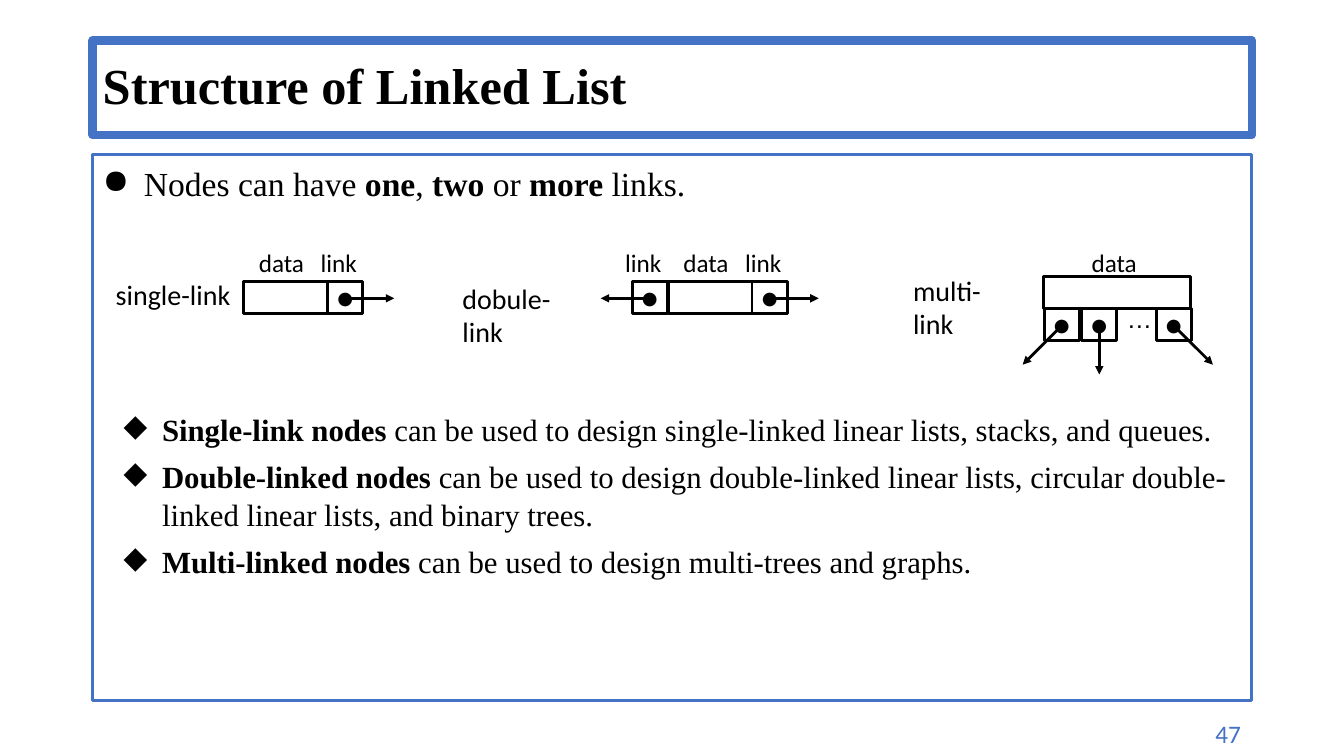
from dataclasses import dataclass

import pptx
import pptx.dml.color
import pptx.enum.shapes
import pptx.enum.text
import pptx.oxml
import pptx.oxml.ns
import pptx.util

Pt = pptx.util.Pt
RGB = pptx.dml.color.RGBColor
Shape = pptx.enum.shapes.MSO_SHAPE
Align = pptx.enum.text.PP_ALIGN
Anchor = pptx.enum.text.MSO_ANCHOR


@dataclass(frozen=True)
class Theme:
    ink: RGB = RGB(0, 0, 0)
    accent: RGB = RGB(0x44, 0x72, 0xC4)
    serif: str = "Times New Roman"
    sans: str = "Calibri"
    dot_font: str = "Lato"
    dots_font: str = "Arial"
    title: int = 36
    body: int = 24
    sub: int = 22
    name: int = 20
    label: int = 18
    stroke: int = 2


T = Theme()
CELL_W, CELL_H, DATA_W = 25.2, 23, 59.8
ROW_Y, LABEL_Y = 200.9, 172.8
REACH, DIAGONAL = 35, 28


def add_xml(parent, tag, **attrs):
    el = pptx.oxml.parse_xml(f"<{tag} {pptx.oxml.ns.nsdecls('a')}/>")
    for key, value in attrs.items():
        el.set(key, value)
    parent.append(el)


def style(font, face, size, color=T.ink, bold=False):
    font.name, font.size, font.bold = face, Pt(size), bold
    font.color.rgb = color


def outline(sp, color, width):
    sp.line.color.rgb = color
    sp.line.width = Pt(width)


def add_box(s, x, y, w, h, color=T.ink, width=T.stroke):
    sp = s.shapes.add_shape(Shape.RECTANGLE, Pt(x), Pt(y), Pt(w), Pt(h))
    sp.shadow.inherit = False
    sp.fill.background()
    outline(sp, color, width)
    return sp


def add_text(s, text, x, y, w, h, size, face=T.sans, color=T.ink, align=Align.LEFT):
    tf = s.shapes.add_textbox(Pt(x), Pt(y), Pt(w), Pt(h)).text_frame
    tf.word_wrap = False
    p = tf.paragraphs[0]
    p.text, p.alignment = text, align
    style(p.runs[0].font, face, size, color)


def add_label(s, text, x, w):
    add_text(s, text, x, LABEL_Y, w, 28.8, T.label)


def add_arrow(s, x, y, dx, dy):
    cn = s.shapes.add_connector(
        pptx.enum.shapes.MSO_CONNECTOR.STRAIGHT, Pt(x), Pt(y), Pt(x + dx), Pt(y + dy))
    outline(cn, T.ink, T.stroke)
    add_xml(cn.line._get_or_add_ln(), "a:tailEnd", type="triangle")
    add_xml(cn._element.spPr, "a:effectLst")


def add_link_cell(s, x, y, dx, dy):
    """Draw a cell with a dot and an arrow that leaves the dot by (dx, dy)."""
    sp = add_box(s, x, y, CELL_W, CELL_H)
    tf = sp.text_frame
    tf.word_wrap, tf.vertical_anchor = False, Anchor.MIDDLE
    p = tf.paragraphs[0]
    p.text, p.alignment = "●", Align.CENTER
    style(p.runs[0].font, T.dot_font, T.name)
    add_arrow(s, x + CELL_W / 2, y + 12.2, dx, dy)


def add_row_node(s, x, left_link=False):
    """Draw a data cell at x with a link on the right and, if asked, on the left."""
    add_box(s, x, ROW_Y, DATA_W, CELL_H)
    add_label(s, "data", x + 3.6, 46.8)
    links = [(x + DATA_W, REACH)]
    if left_link:
        links.append((x - CELL_W - 0.7, -REACH))
    for link_x, dx in links:
        add_link_cell(s, link_x, ROW_Y, dx, 0)
        add_label(s, "link", link_x - 12, 40.3)


def add_multi_node(s, x, y):
    add_box(s, x, y, 105.1, CELL_H)
    add_label(s, "data", x + 27.4, 46.8)
    links_y = y + CELL_H
    for offset, dx, dy in [(0.7, -DIAGONAL, DIAGONAL), (27.4, 0, REACH),
                           (80.6, DIAGONAL, DIAGONAL)]:
        add_link_cell(s, x + offset, links_y, dx, dy)
    add_text(s, "…", x + 52.6, 213.1, 32.4, 28.8, T.label, T.dots_font)


def add_bullet(p, mark, runs, size, margin, indent, before):
    """Fill a bulleted paragraph; runs are (text, bold) pairs."""
    pPr = p._p.get_or_add_pPr()
    pPr.set("marL", str(Pt(margin)))
    pPr.set("indent", str(Pt(-indent)))
    p.line_spacing = 1.04
    p.space_before = Pt(before)
    add_xml(pPr, "a:buChar", char=mark)
    p.alignment = Align.LEFT
    for text, bold in runs:
        r = p.add_run()
        r.text = text
        style(r.font, T.serif, size, bold=bold)


def add_title(s, text):
    sp = s.shapes.title
    sp.left, sp.top, sp.width, sp.height = Pt(66.2), Pt(28.8), Pt(828), Pt(67.7)
    outline(sp, T.accent, 6)
    tf = sp.text_frame
    tf.text, tf.vertical_anchor = text, Anchor.MIDDLE
    p = tf.paragraphs[0]
    p.alignment, p.line_spacing = Align.LEFT, 0.9
    style(p.runs[0].font, T.serif, T.title, bold=True)


def add_body(s):
    sp = add_box(s, 66.2, 110.2, 828, 390.2, T.accent, 2.25)
    tf = sp.text_frame
    tf.word_wrap, tf.vertical_anchor = True, Anchor.TOP
    tf.margin_top = Pt(5)
    add_bullet(tf.paragraphs[0], "●",
               [("Nodes can have ", False), ("one", True), (", ", False), ("two ", True),
                ("or ", False), ("more ", True), ("links.", False)],
               T.body, 29.5, 29.5, 0)
    uses = [
        ("Single-link nodes",
         " can be used to design single-linked linear lists, stacks, and queues."),
        ("Double-linked nodes",
         " can be used to design double-linked linear lists, circular double-linked"
         " linear lists, and binary trees."),
        ("Multi-linked nodes", " can be used to design multi-trees and graphs."),
    ]
    for i, (node, use) in enumerate(uses):
        add_bullet(tf.add_paragraph(), "◆", [(node, True), (use, False)],
                   T.sub, 42.5, 27.4, 6 if i else 147)


def main():
    prs = pptx.Presentation()
    prs.slide_width, prs.slide_height = Pt(960), Pt(540)
    s = prs.slides.add_slide(prs.slide_layouts.get_by_name("Title Only"))
    add_title(s, "Structure of Linked List")
    add_body(s)
    for name, x, y, w in [("single-link", 75.6, 194.4, 96.5),
                          ("dobule-link", 323.3, 197.3, 105.8),
                          ("multi-link", 645.1, 191.5, 91.4)]:
        add_text(s, name, x, y, w, 31.7, T.name)
    add_row_node(s, 174.2)
    add_row_node(s, 477.4, left_link=True)
    add_multi_node(s, 745.2, 197.3)
    add_text(s, "47", 780.5, 509.8, 113, 28.8, T.label, color=T.accent, align=Align.RIGHT)
    prs.save("out.pptx")


if __name__ == "__main__":
    main()
